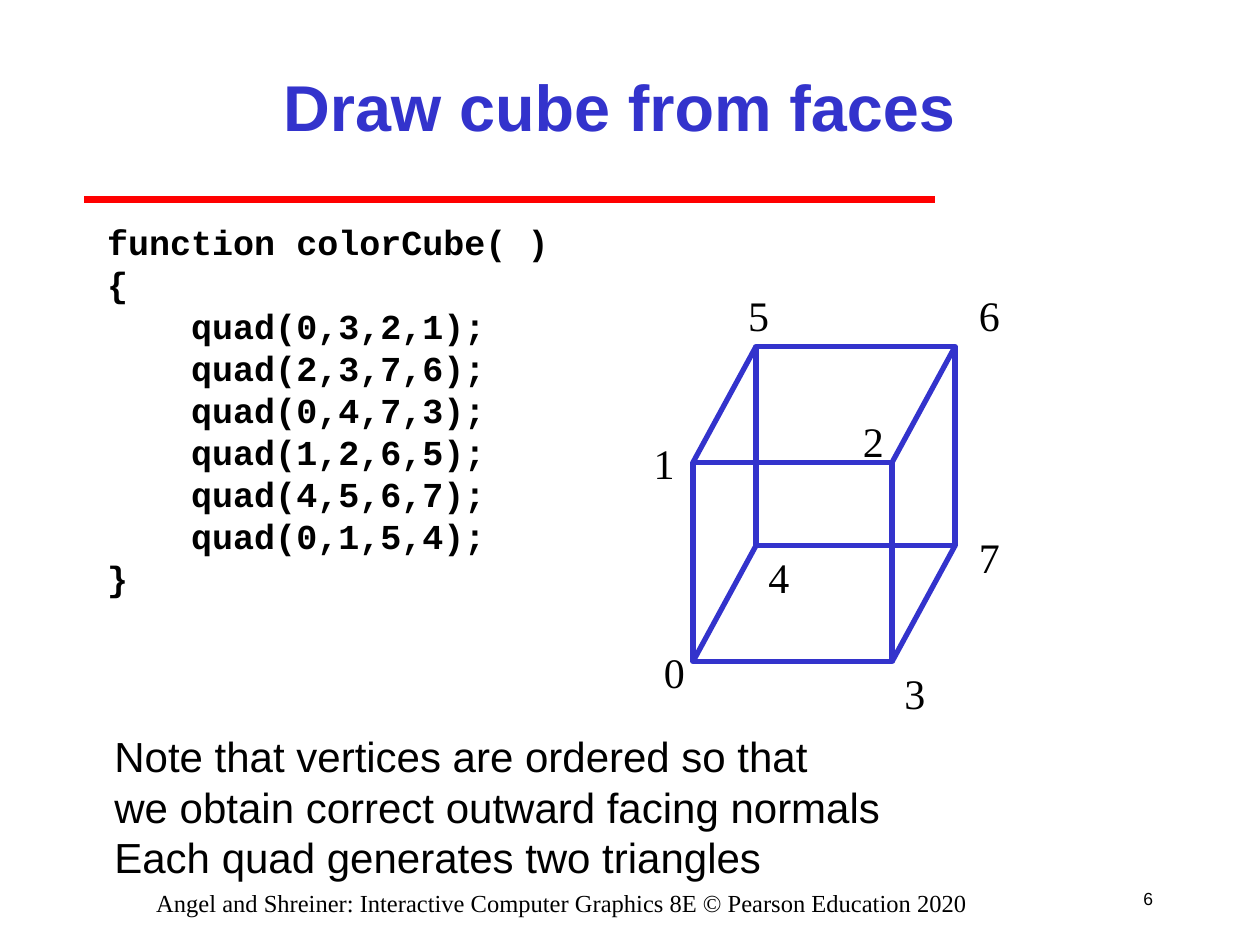
from pptx import Presentation
from pptx.dml.color import RGBColor
from pptx.enum.shapes import MSO_CONNECTOR as CONN, MSO_SHAPE as SHAPE
from pptx.enum.text import MSO_ANCHOR as ANCHOR, MSO_AUTO_SIZE as AUTO, PP_ALIGN as ALIGN
from pptx.oxml.xmlchemy import OxmlElement
from pptx.util import Inches, Pt

COLORS = {"ink": "000000", "blue": "3333CC", "red": "FF0000"}
SANS, SERIF, MONO = "Arial", "Times New Roman", "Courier New"


def write(tf, text, size=24, font=SANS, color="ink", bold=False,
          align=ALIGN.LEFT, anchor=ANCHOR.TOP, wrap=True, pitch=None, hang=None, top=0.05):
    tf.word_wrap = wrap
    tf.auto_size = AUTO.NONE
    tf.vertical_anchor = anchor
    tf.margin_left = tf.margin_right = Inches(0.1)
    tf.margin_top, tf.margin_bottom = Inches(top), Inches(0.05)
    for i, line in enumerate(text.split("\n")):
        p = tf.paragraphs[0] if i == 0 else tf.add_paragraph()
        p.alignment = align
        p.space_before = p.space_after = Pt(0)
        p.line_spacing = Pt(pitch) if pitch else 1.0
        if hang:
            pPr = p._p.get_or_add_pPr()
            pPr.set("marL", str(Inches(hang)))
            pPr.set("indent", str(-Inches(hang)))
            pPr.append(OxmlElement("a:buNone"))
        r = p.add_run()
        r.text = line
        r.font.size, r.font.name, r.font.bold = Pt(size), font, bold
        r.font.color.rgb = RGBColor.from_string(COLORS[color])


class Deck:
    def __init__(self, prs):
        self.slide = prs.slides.add_slide(prs.slide_layouts[1])
        self.shapes = self.slide.shapes

    def placeholder(self, idx, box, text, **fmt):
        sp = self.slide.placeholders[idx]
        sp.left, sp.top, sp.width, sp.height = map(Inches, box)
        write(sp.text_frame, text, **fmt)

    def text(self, box, text, **fmt):
        sp = self.shapes.add_textbox(*map(Inches, box))
        write(sp.text_frame, text, **fmt)

    def rect(self, parent, box, color="blue", width=3):
        sp = parent.add_shape(SHAPE.RECTANGLE, *map(Inches, box))
        sp.shadow.inherit = False
        sp.fill.background()
        sp.line.color.rgb = RGBColor.from_string(COLORS[color])
        sp.line.width = Pt(width)

    def line(self, parent, start, end, color="blue", width=3):
        cx = parent.add_connector(CONN.STRAIGHT, *map(Inches, start + end))
        cx.line.color.rgb = RGBColor.from_string(COLORS[color])
        cx.line.width = Pt(width)
        cx._element.spPr.append(OxmlElement("a:effectLst"))

    def cube(self, left, top, side, dx, dy):
        group = self.shapes.add_group_shape().shapes
        self.rect(group, (left, top, side, side))
        self.rect(group, (left + dx, top - dy, side, side))
        for x in (left, left + side):
            for y in (top, top + side):
                self.line(group, (x + dx, y - dy), (x, y))


CODE = """function colorCube( )
{
    quad(0,3,2,1);
    quad(2,3,7,6);
    quad(0,4,7,3);
    quad(1,2,6,5);
    quad(4,5,6,7);
    quad(0,1,5,4);
}"""
NOTE = """Note that vertices are ordered so that
we obtain correct outward facing normals
Each quad generates two triangles"""
FOOTER = "Angel and Shreiner: Interactive Computer Graphics 8E © Pearson Education 2020"
VERTICES = {"0": (5.17, 5.08), "5": (5.84, 2.25), "6": (7.67, 2.25), "2": (6.75, 3.25),
            "4": (6, 4.33), "7": (7.67, 4.17), "1": (5.09, 3.42), "3": (7.08, 5.25)}


def main():
    prs = Presentation()
    prs.slide_width, prs.slide_height = Inches(10), Inches(7.5)
    s = Deck(prs)
    s.line(s.shapes, (0.67, 1.58), (7.42, 1.58), color="red", width=4)
    s.text((8.83, 6.92, 0.42, 0.42), "6", size=10, align=ALIGN.RIGHT, anchor=ANCHOR.MIDDLE)
    s.placeholder(0, (1.5, 0.25, 6.83, 1.17), "Draw cube from faces", size=37, color="blue",
                  bold=True, align=ALIGN.CENTER, anchor=ANCHOR.MIDDLE)
    s.placeholder(1, (0.75, 1.67, 8.5, 5.17), CODE, size=20, font=MONO, bold=True,
                  pitch=24, hang=0.21, top=0.08)
    s.cube(5.5, 3.67, 1.58, 0.5, 0.92)
    for name, spot in VERTICES.items():
        s.text(spot + (0.36, 0.5), name, font=SERIF, wrap=False, pitch=28.8)
    s.text((0.81, 5.75, 6.27, 1.3), NOTE, wrap=False, pitch=28.8)
    s.text((0.5, 7, 7.92, 0.33), FOOTER, size=14, font=SERIF, align=ALIGN.CENTER)
    prs.save("out.pptx")


if __name__ == "__main__":
    main()
